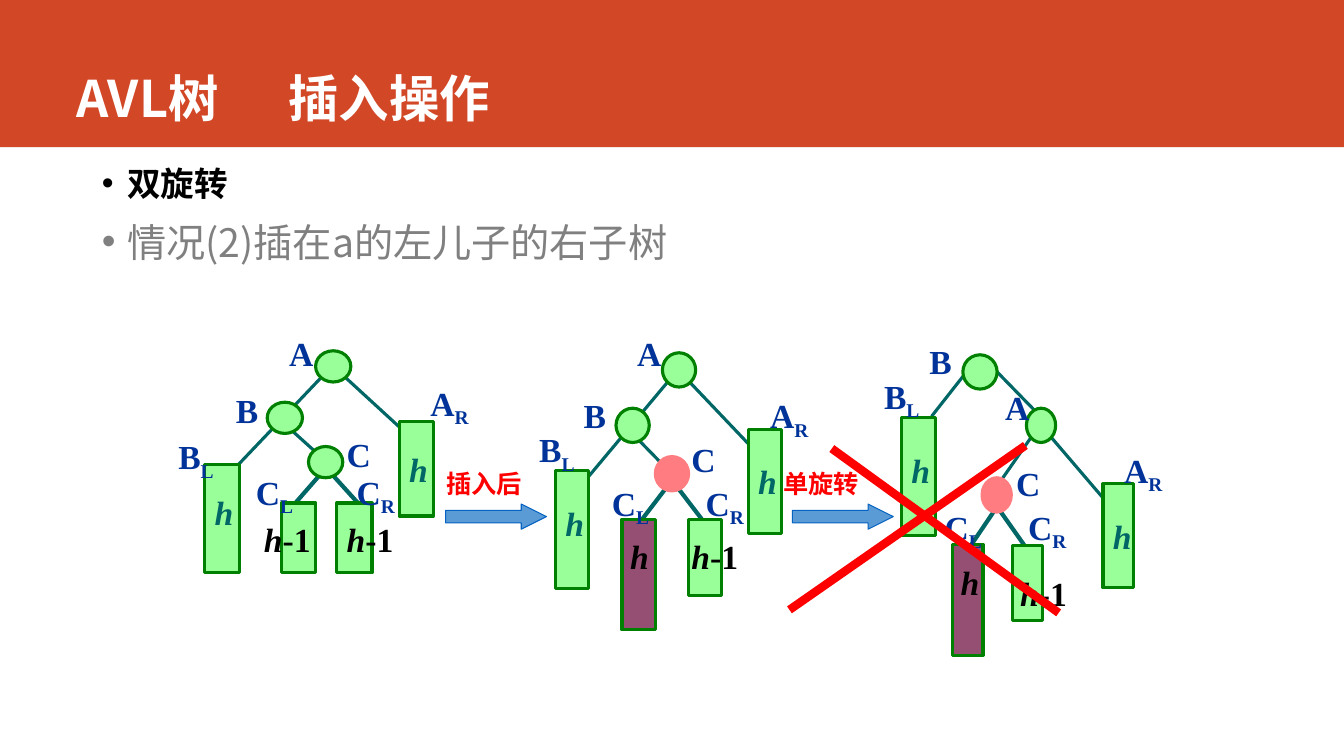
from lxml.etree import SubElement
from pptx import Presentation
from pptx.dml.color import RGBColor
from pptx.enum.shapes import MSO_CONNECTOR as Connector, MSO_SHAPE as Preset
from pptx.enum.text import MSO_ANCHOR as Anchor, MSO_AUTO_SIZE as AutoSize, PP_ALIGN as Align
from pptx.oxml.ns import qn
from pptx.util import Cm, Pt

SANS, SERIF = "Noto Sans CJK SC", "Times New Roman"
GREEN, DARK_GREEN, TEAL, NAVY = "99FF99", "008000", "006666", "003399"
PLUM, PINK, RED, WHITE, BLACK = "954F72", "FF7C80", "FF0000", "FFFFFF", "000000"

# Content; all places and sizes are in inches
TITLE = "AVL树\t插入操作"
BULLETS = [("双旋转", 24, BLACK, True, 0),
           ("情况(2)插在a的左儿子的右子树", 28, "808080", False, 5.6)]
ARROWS = [("插入后", 4.42, 4.33), ("单旋转", 7.86, 7.67)]
CROSS = [(10.17, 4.42, 7.83, 6.05), (8.25, 4.45, 10.5, 6.08)]

# Label text: (base, subscript, width)
LABELS = {"A": ("A", "", 0.44), "B": ("B", "", 0.42), "C": ("C", "", 0.44),
          "AR": ("A", "R", 0.6), "BL": ("B", "L", 0.57),
          "CL": ("C", "L", 0.59), "CR": ("C", "R", 0.6)}

# edges: from x, y, to x, y, points; boxes: left, top, width, height, fill, has h, line spacing
# nodes: left, top, width, height, fill; labels: name, left, top; heights: text, left, top
TREES = [
    {"edges": [(3.27, 4.68, 3.55, 4.99, 3), (3.2, 4.68, 2.93, 4.99, 3),
               (3.41, 3.73, 4.03, 4.3, 2.25), (3.2, 3.73, 2.24, 4.74, 2.25),
               (2.86, 4.24, 3.27, 4.61, 2.25)],
     "boxes": [(3.96, 4.18, 0.34, 0.94, GREEN, True, 1), (2.03, 4.61, 0.35, 1.07, GREEN, True, 0.6),
               (2.79, 4.99, 0.34, 0.69, GREEN, False, 1), (3.34, 4.99, 0.35, 0.69, GREEN, False, 1)],
     "nodes": [(2.65, 3.99, 0.35, 0.31, GREEN), (3.13, 3.48, 0.35, 0.31, GREEN),
               (3.06, 4.43, 0.34, 0.31, GREEN)],
     "labels": [("A", 2.77, 3.25), ("B", 2.24, 3.82), ("C", 3.34, 4.26), ("AR", 4.17, 3.75),
                ("BL", 1.67, 4.28), ("CL", 2.44, 4.63), ("CR", 3.44, 4.63)],
     "heights": [("h-1", 3.34, 5.1), ("h-1", 2.52, 5.1)]},
    {"edges": [(6.63, 4.81, 6.37, 5.15, 3), (6.7, 4.81, 6.96, 5.15, 3),
               (6.83, 3.78, 7.42, 4.4, 2.25), (6.63, 3.78, 5.71, 4.88, 2.25),
               (6.3, 4.33, 6.7, 4.74, 2.25)],
     "boxes": [(7.42, 4.26, 0.33, 1.03, GREEN, True, 1), (5.51, 4.67, 0.33, 1.17, GREEN, True, 0.6),
               (6.17, 5.15, 0.33, 1.1, PLUM, False, 1), (6.83, 5.15, 0.33, 0.76, GREEN, False, 1)],
     "nodes": [(6.11, 4.05, 0.33, 0.34, GREEN), (6.57, 3.5, 0.33, 0.34, GREEN),
               (6.5, 4.53, 0.33, 0.34, PINK)],
     "labels": [("A", 6.22, 3.25), ("B", 5.69, 3.87), ("C", 6.76, 4.31), ("AR", 7.54, 3.87),
                ("BL", 5.25, 4.21), ("CL", 5.97, 4.74), ("CR", 6.9, 4.74)],
     "heights": [("h-1", 6.76, 5.27), ("h", 6.15, 5.27)]},
    {"edges": [(9.87, 3.67, 10.27, 4.08, 2.25), (9.57, 3.71, 9.24, 4.13, 2.25),
               (10.41, 4.32, 10.94, 4.94, 2.25), (10.24, 4.32, 9.94, 4.75, 2.25),
               (9.86, 5.07, 9.63, 5.41, 3), (9.92, 5.07, 10.16, 5.41, 3)],
     "boxes": [(8.94, 4.14, 0.34, 1.17, GREEN, True, 0.6), (10.94, 4.8, 0.3, 1.03, GREEN, True, 1),
               (9.45, 5.4, 0.3, 1.1, PLUM, False, 1), (10.04, 5.41, 0.3, 0.75, GREEN, False, 1)],
     "nodes": [(9.55, 3.52, 0.34, 0.34, GREEN), (10.18, 4.05, 0.29, 0.34, GREEN),
               (9.74, 4.74, 0.29, 0.34, PINK)],
     "labels": [("B", 9.12, 3.33), ("A", 9.87, 3.79), ("C", 9.98, 4.54), ("BL", 8.67, 3.68),
                ("AR", 11.05, 4.41), ("CL", 9.27, 4.98), ("CR", 10.1, 4.98)],
     "heights": [("h", 9.43, 5.53), ("h-1", 10.02, 5.63)]},
]


def lengths(*inches):
    return [Cm(value * 2.54) for value in inches]


def color(hex_string):
    return RGBColor.from_string(hex_string)


def style(paragraph, size, hex_color, typeface, bold=True):
    font = paragraph.font
    font.size, font.bold, font.name = Pt(size), bold, typeface
    font.color.rgb = color(hex_color)
    defaults = paragraph._p.pPr.find(qn("a:defRPr"))
    SubElement(defaults, qn("a:ea"), typeface=typeface)


def add_preset(preset, place, fill, line, points=2.25):
    shape = slide.shapes.add_shape(preset, *lengths(*place))
    shape.shadow.inherit = False
    shape.fill.solid()
    shape.fill.fore_color.rgb = color(fill)
    shape.line.color.rgb = color(line)
    shape.line.width = Pt(points)
    return shape


def add_line(ends, hex_color, points):
    line = slide.shapes.add_connector(Connector.STRAIGHT, *lengths(*ends))
    line.line.color.rgb = color(hex_color)
    line.line.width = Pt(points)
    SubElement(line._element.spPr, qn("a:effectLst"))


def add_text(place, wrap=False):
    frame = slide.shapes.add_textbox(*lengths(*place)).text_frame
    frame.word_wrap = wrap
    frame.auto_size = AutoSize.SHAPE_TO_FIT_TEXT
    return frame.paragraphs[0]


def add_run(paragraph, text, italic=None, baseline=None):
    run = paragraph.add_run()
    run.text = text
    run.font.italic = italic
    if baseline:
        run.font._element.set("baseline", str(baseline))


def add_box(left, top, width, height, fill, has_height, spacing):
    box = add_preset(Preset.RECTANGLE, (left, top, width, height), fill, DARK_GREEN)
    if has_height:
        frame = box.text_frame
        frame.word_wrap, frame.vertical_anchor = False, Anchor.MIDDLE
        paragraph = frame.paragraphs[0]
        paragraph.alignment, paragraph.line_spacing = Align.LEFT, spacing
        style(paragraph, 24, TEAL, SERIF)
        add_run(paragraph, "h", italic=True)


presentation = Presentation()
presentation.slide_width, presentation.slide_height = lengths(13.33, 7.5)
slide = presentation.slides.add_slide(presentation.slide_layouts[1])

# Header band behind the title
band = add_preset(Preset.RECTANGLE, (0, 0, 13.33, 1.46), "D24726", "D24726")
band.line.fill.background()
slide.shapes._spTree.insert(2, band._element)

# Title and bullets
title, body = slide.placeholders
for holder, place in ((title, (0.66, 0, 11.76, 1.32)), (body, (0.91, 1.64, 12.42, 4.76))):
    holder.left, holder.top, holder.width, holder.height = lengths(*place)
    holder.text_frame.auto_size = AutoSize.NONE
title.text_frame.text = TITLE
title.text_frame.vertical_anchor = Anchor.BOTTOM
heading = title.text_frame.paragraphs[0]
heading.alignment, heading.line_spacing = Align.LEFT, 0.9
tabs = SubElement(heading._p.get_or_add_pPr(), qn("a:tabLst"))
SubElement(tabs, qn("a:tab"), pos=str(Cm(5.33)), algn="l")
style(heading, 36, WHITE, SANS)

body.text_frame.text = "\n".join(bullet[0] for bullet in BULLETS)
for paragraph, (_, size, hex_color, bold, before) in zip(body.text_frame.paragraphs, BULLETS):
    paragraph.line_spacing = 0.8
    paragraph.space_before, paragraph.space_after = Pt(before), Pt(12)
    properties = paragraph._p.get_or_add_pPr()
    properties.set("marL", str(Cm(0.64)))
    properties.set("indent", str(-Cm(0.64)))
    style(paragraph, size, hex_color, SANS, bold)

# Trees: edges, subtree boxes, nodes, then their labels
for tree in TREES:
    for *ends, points in tree["edges"]:
        add_line(ends, TEAL, points)
    for box in tree["boxes"]:
        add_box(*box)
    for *place, fill in tree["nodes"]:
        add_preset(Preset.OVAL, place, fill, PINK if fill == PINK else DARK_GREEN)
    for name, left, top in tree["labels"]:
        base, subscript, width = LABELS[name]
        paragraph = add_text((left, top, width, 0.5))
        style(paragraph, 24, NAVY, SERIF)
        add_run(paragraph, base)
        if subscript:
            add_run(paragraph, subscript, baseline=-25000)
    for text, left, top in tree["heights"]:
        paragraph = add_text((left, top, 0.67 if text == "h-1" else 0.39, 0.5))
        style(paragraph, 24, BLACK, SERIF)
        add_run(paragraph, "h", italic=True)
        if text[1:]:
            add_run(paragraph, text[1:])

# Step arrows with captions
for caption, arrow_left, caption_left in ARROWS:
    arrow = add_preset(Preset.RIGHT_ARROW, (arrow_left, 5, 1, 0.25), "5B9BD5", "0563C1", 0.75)
    arrow.adjustments[0], arrow.adjustments[1] = 0.5, 1
    paragraph = add_text((caption_left, 4.6, 1.25, 0.4), wrap=True)
    style(paragraph, 18, RED, "Noto Sans")
    add_run(paragraph, caption)

# Cross over the wrong result
for ends in CROSS:
    add_line(ends, RED, 6)

presentation.save("out.pptx")
